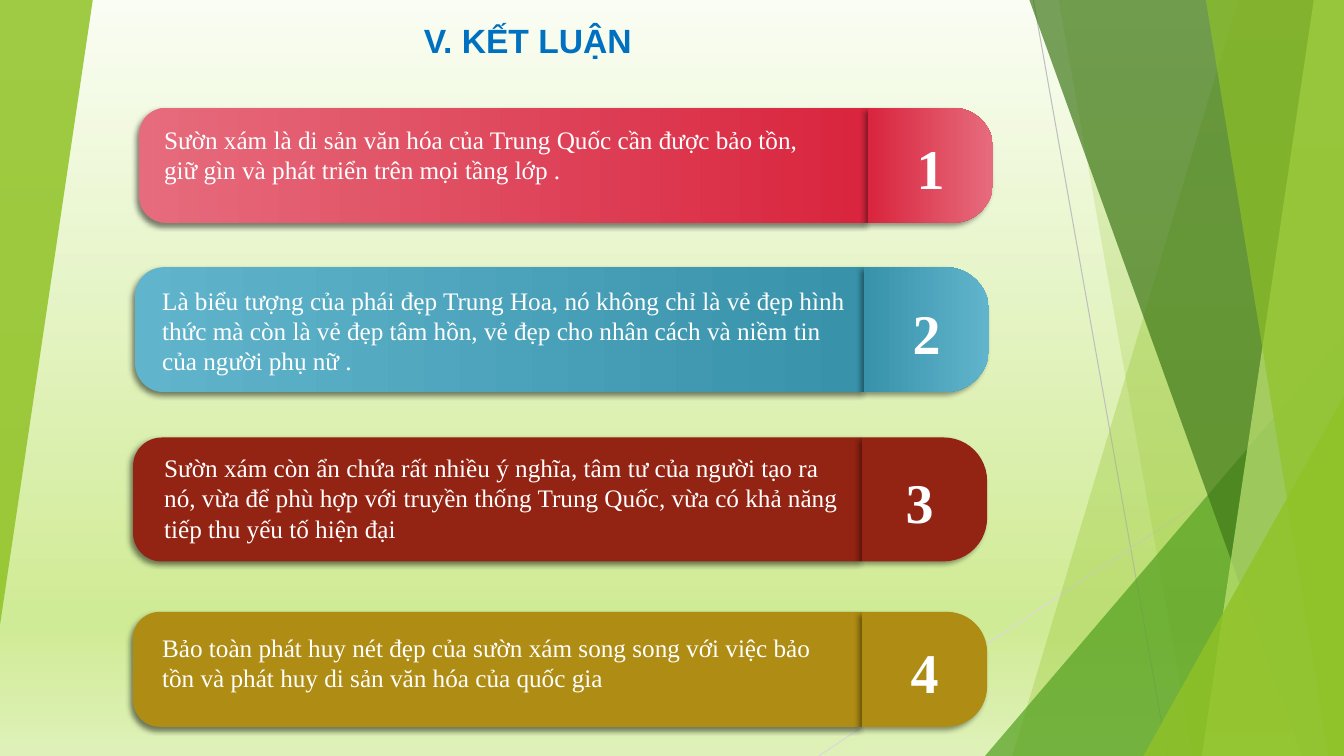
from copy import deepcopy
from dataclasses import dataclass

from lxml.etree import SubElement
from pptx import Presentation
from pptx.dml.color import RGBColor
from pptx.enum.shapes import MSO_CONNECTOR, MSO_SHAPE
from pptx.enum.text import MSO_ANCHOR, PP_ALIGN
from pptx.oxml.ns import qn
from pptx.util import Emu, Inches, Pt

WIDTH, HEIGHT = 13.33, 7.5
BAR_WIDTH, CAP_WIDTH = 7.23, 1.24
COLORS = {
    "title": "0070C0", "text": "FFFFFF", "shadow": "000000",
    "line_dark": "BFBFBF", "line_light": "D9D9D9",
    "lime": "90C226", "green": "54A021", "forest": "3F7819", "pale": "C0E474",
    "rose": "E66C7D", "red": "D9253E", "sky": "60B5CC", "teal": "3792AA",
    "brick": "932313", "gold": "AF8C14",
    "sky_top": "FAFDF3", "meadow": "D0EB96", "sky_bottom": "DFF1B9",
}


@dataclass
class Conclusion:
    text: str
    left: float
    top: float
    height: float
    text_inset: tuple
    text_width: float
    outer: str
    inner: str
    number_shift: float = 0


CONCLUSIONS = [
    Conclusion("Sườn xám là di sản văn hóa của Trung Quốc cần được bảo tồn, "
               "giữ gìn và phát triển trên mọi tầng lớp .",
               1.38, 1.07, 1.14, (0.15, 0.11), 6.84, "rose", "red"),
    Conclusion("Là biểu tượng của phái đẹp Trung Hoa, nó không chỉ là vẻ đẹp hình thức "
               "mà còn là vẻ đẹp tâm hồn, vẻ đẹp cho nhân cách và niềm tin của người phụ nữ .",
               1.34, 2.65, 1.24, (0.17, 0.13), 7.08, "sky", "teal"),
    Conclusion("Sườn xám còn ẩn chứa rất nhiều ý nghĩa, tâm tư của người tạo ra nó, "
               "vừa để phù hợp với truyền thống Trung Quốc, vừa có khả năng tiếp thu "
               "yếu tố hiện đại",
               1.32, 4.34, 1.23, (0.21, 0.1), 6.95, "brick", "brick", -0.05),
    Conclusion("Bảo toàn phát huy nét đẹp của sườn xám song song với việc bảo tồn "
               "và phát huy di sản văn hóa của quốc gia",
               1.32, 6.07, 1.14, (0.19, 0.15), 6.64, "gold", "gold"),
]


def rgb(name):
    return RGBColor.from_string(COLORS[name])


def set_stops(fill, stops, angle):
    fill.gradient_angle = angle
    for stop, (position, color) in zip(fill.gradient_stops, stops):
        stop.position = position
        stop.color.rgb = rgb(color)


def paint_background(page):
    fill = page.background.fill
    fill.gradient()
    stop_list = page.element.find(".//" + qn("a:gsLst"))
    for stop in list(stop_list):
        stop_list.append(deepcopy(stop))
    set_stops(fill, [(0, "sky_top"), (0.81, "meadow"), (0.83, "meadow"),
                     (1, "sky_bottom")], 270)


def paint_facet(shape, color, opacity):
    shape.shadow.inherit = False
    shape.line.fill.background()
    shape.fill.solid()
    shape.fill.fore_color.rgb = rgb(color)
    tone = shape.element.spPr.find(".//" + qn("a:srgbClr"))
    SubElement(tone, qn("a:alpha"), val=str(opacity * 1000))


def add_facet(page, top_x, bottom_x, color, opacity):
    """Panel from a slanted left edge to the right side of the slide."""
    corners = [(WIDTH, 0), (WIDTH, HEIGHT), (bottom_x, HEIGHT)]
    builder = page.shapes.build_freeform(Inches(top_x), 0)
    builder.add_line_segments([(Inches(x), Inches(y)) for x, y in corners])
    paint_facet(builder.convert_to_shape(), color, opacity)


def add_corner(page, box, color, opacity, rotation=0):
    shape = page.shapes.add_shape(MSO_SHAPE.ISOSCELES_TRIANGLE, *map(Inches, box))
    shape.adjustments[0] = 1
    shape.rotation = rotation
    paint_facet(shape, color, opacity)


def add_hairline(page, start, end, color):
    line = page.shapes.add_connector(MSO_CONNECTOR.STRAIGHT, *map(Inches, start + end))
    line.line.color.rgb = rgb(color)
    line.line.width = Pt(0.75)
    SubElement(line.element.spPr, qn("a:effectLst"))


def add_scenery(page):
    add_hairline(page, (10.25, 0), (11.58, HEIGHT), "line_dark")
    add_hairline(page, (WIDTH, 4.03), (8.12, HEIGHT), "line_light")
    add_facet(page, 12.28, 10.04, "lime", 30)
    add_facet(page, 10.5, 11.83, "lime", 20)
    add_corner(page, (9.77, 3.33, 3.56, 4.17), "green", 72)
    add_facet(page, 10.21, 12.91, "forest", 70)
    add_facet(page, 13.03, 11.92, "pale", 70)
    add_facet(page, 11.96, 13.18, "lime", 65)
    add_corner(page, (11.34, 3.93, 1.99, 3.57), "lime", 80)
    add_corner(page, (0, 0, 0.92, 6.2), "lime", 85, rotation=180)


def format_text(frame, text, size, font_name, color, bold=False, align=None, anchor=None):
    frame.word_wrap = True
    frame.text = text
    frame.vertical_anchor = anchor
    para = frame.paragraphs[0]
    para.alignment = align
    font = para.runs[0].font
    font.size, font.name, font.bold = Pt(size), font_name, bold
    font.color.rgb = rgb(color)


def add_title(page, box):
    title = page.shapes.title
    title.left, title.top, title.width, title.height = map(Inches, box)
    format_text(title.text_frame, "V. KẾT LUẬN", 24, "Arial", "title", True,
                PP_ALIGN.CENTER, MSO_ANCHOR.MIDDLE)


def add_rounded_end(page, box, rotation, rounding, stops, angle, shadow_opacity):
    """Bar whose rounded end is turned sideways within the visible box."""
    left, top, width, height = box
    shape = page.shapes.add_shape(
        MSO_SHAPE.ROUND_2_SAME_RECTANGLE,
        Inches(left + (width - height) / 2), Inches(top + (height - width) / 2),
        Inches(height), Inches(width))
    shape.rotation = rotation
    shape.adjustments[0], shape.adjustments[1] = rounding, 0
    shape.line.fill.background()
    if stops[0][1] == stops[1][1]:
        shape.fill.solid()
        shape.fill.fore_color.rgb = rgb(stops[0][1])
    else:
        shape.fill.gradient()
        set_stops(shape.fill, stops, angle)
    # Soft shadow towards the lower left
    shape.shadow.inherit = False
    effects = shape.element.spPr.find(qn("a:effectLst"))
    shadow = SubElement(effects, qn("a:outerShdw"), blurRad=str(Pt(4)), dist=str(Pt(3)),
                        dir="8100000", algn="tr", rotWithShape="0")
    tone = SubElement(shadow, qn("a:srgbClr"), val=COLORS["shadow"])
    SubElement(tone, qn("a:alpha"), val=str(shadow_opacity * 1000))


def add_conclusion(page, number, item):
    cap_left = item.left + BAR_WIDTH
    add_rounded_end(page, (item.left, item.top, BAR_WIDTH, item.height), 270, 0.23,
                    [(0, item.outer), (0.99, item.inner)], 270, 50)
    add_rounded_end(page, (cap_left, item.top, CAP_WIDTH, item.height), 90, 0.35,
                    [(0, item.inner), (1, item.outer)], 90, 40)
    # Number on the cap
    label = page.shapes.add_textbox(
        Inches(cap_left + item.number_shift), Inches(item.top + 0.02),
        Inches(CAP_WIDTH), Inches(item.height))
    format_text(label.text_frame, str(number), 40, "Times New Roman", "text", True,
                PP_ALIGN.CENTER, MSO_ANCHOR.MIDDLE)
    # Statement on the bar
    inset_x, inset_y = item.text_inset
    statement = page.shapes.add_textbox(
        Inches(item.left + inset_x), Inches(item.top + inset_y),
        Inches(item.text_width), Inches(item.height - inset_y))
    format_text(statement.text_frame, item.text, 18, "Times New Roman", "text")


def main():
    deck = Presentation()
    deck.slide_width, deck.slide_height = Emu(Inches(WIDTH)), Emu(Inches(HEIGHT))
    page = deck.slides.add_slide(deck.slide_layouts[5])
    paint_background(page)
    add_scenery(page)
    add_title(page, (1.62, 0.15, BAR_WIDTH, 0.5))
    for number, item in enumerate(CONCLUSIONS, start=1):
        add_conclusion(page, number, item)
    deck.save("out.pptx")


if __name__ == "__main__":
    main()
